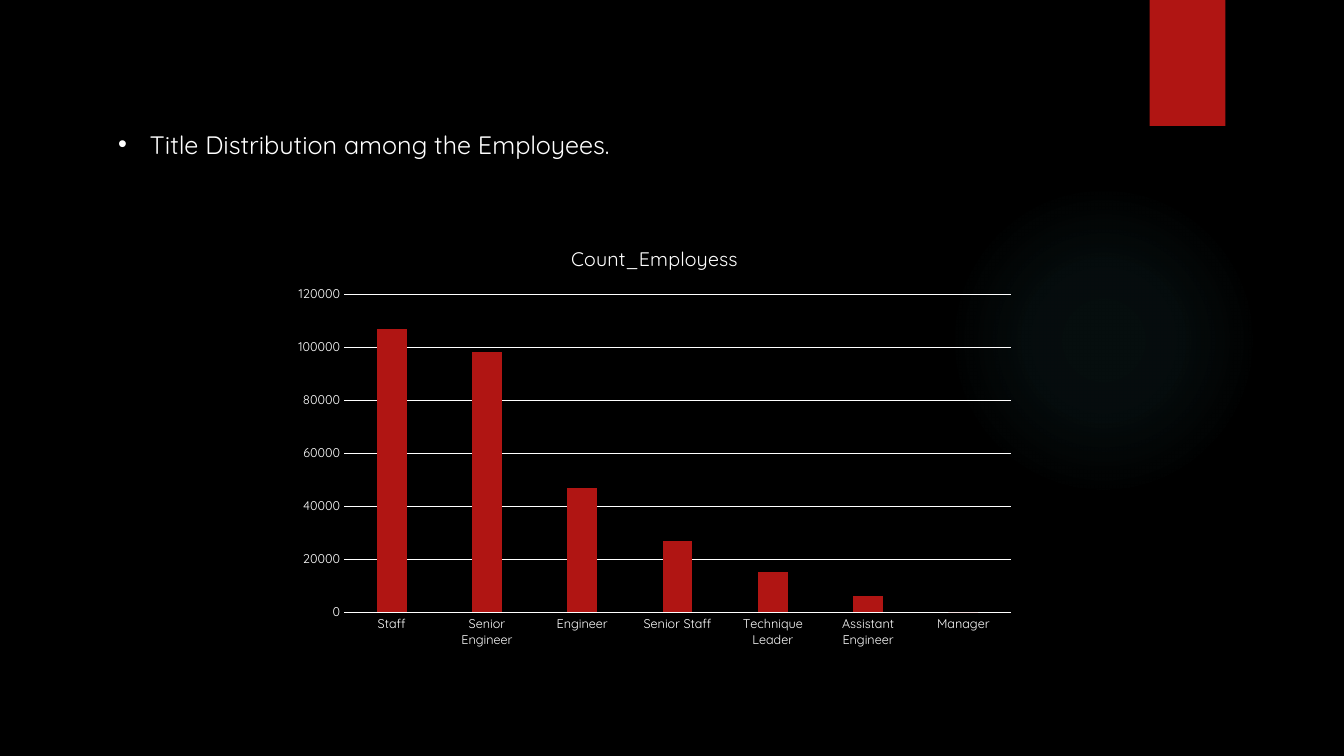
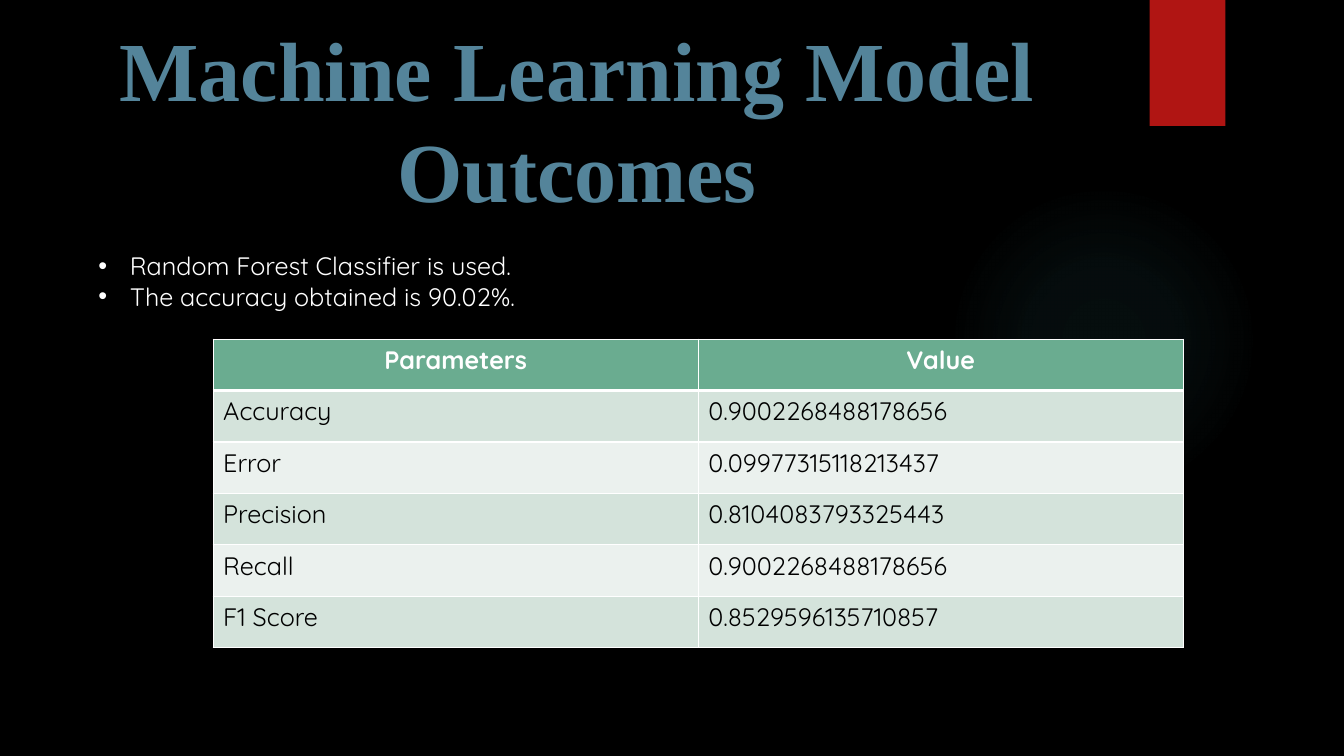
from pptx import Presentation
from pptx.chart.data import CategoryChartData
from pptx.dml.color import RGBColor
from pptx.enum.chart import XL_CHART_TYPE, XL_TICK_MARK
from pptx.enum.shapes import MSO_SHAPE
from pptx.enum.text import MSO_ANCHOR, MSO_AUTO_SIZE, PP_ALIGN
from pptx.oxml import parse_xml
from pptx.oxml.ns import nsdecls, qn
from pptx.util import Emu, Pt

EMU_PER_PX = 9525
SLIDE_WIDTH, SLIDE_HEIGHT = 1280, 720

BLACK = RGBColor(0x00, 0x00, 0x00)
WHITE = RGBColor(0xFF, 0xFF, 0xFF)
RED = RGBColor(0xB0, 0x15, 0x13)
TEAL_GLOW = RGBColor(0x50, 0xB9, 0xC1)
STEEL_BLUE = RGBColor(0x54, 0x84, 0x9A)
HEADER_GREEN = RGBColor(0x6A, 0xAC, 0x90)
BAND_DARK = RGBColor(0xD4, 0xE3, 0xDB)
BAND_LIGHT = RGBColor(0xEB, 0xF1, 0xEE)

BODY_FONT = "Quicksand"
TITLE_FONT = "Times New Roman"
BODY_SIZE = 18
BULLET_INDENT = 30

EMPLOYEES_BY_TITLE = {
    "Staff": 107000,
    "Senior Engineer": 98000,
    "Engineer": 47000,
    "Senior Staff": 27000,
    "Technique Leader": 15000,
    "Assistant Engineer": 6000,
    "Manager": 0,
}
MODEL_SCORES = [
    ("Parameters", "Value"),
    ("Accuracy", "0.9002268488178656"),
    ("Error", "0.09977315118213437"),
    ("Precision", "0.8104083793325443"),
    ("Recall", "0.9002268488178656"),
    ("F1 Score", "0.8529596135710857"),
]


def px(length):
    """Turn pixels into EMU."""
    return Emu(length * EMU_PER_PX)


def scaled(box):
    """Turn a box of left, top, width and height into EMU."""
    return [px(length) for length in box]


def style_font(font, size, color, name=BODY_FONT, bold=False):
    """Set the look of a font."""
    font.name = name
    font.size = Pt(size)
    font.bold = bold
    font.color.rgb = color


def add_plain_shape(slide, preset, box, color):
    """Add a filled shape without line or shadow."""
    shape = slide.shapes.add_shape(preset, *scaled(box))
    shape.shadow.inherit = False
    shape.fill.solid()
    shape.fill.fore_color.rgb = color
    shape.line.fill.background()
    return shape


def fade_out(shape, color):
    """Give a shape a faint radial gradient that fades to its edge."""
    stops = "".join(
        f'<a:gs pos="{position * 1000}"><a:srgbClr val="{color}">'
        f'<a:alpha val="{alpha * 1000}"/></a:srgbClr></a:gs>'
        for position, alpha in ((0, 7), (36, 6), (69, 0))
    )
    gradient = parse_xml(
        f'<a:gradFill {nsdecls("a")}><a:gsLst>{stops}</a:gsLst><a:path path="circle">'
        '<a:fillToRect l="50000" t="50000" r="50000" b="50000"/></a:path></a:gradFill>'
    )
    properties = shape.element.spPr
    properties.replace(properties.find(qn("a:solidFill")), gradient)


def decorate_master(master, slide):
    """Put the black background, glow and red tab on the master."""
    master.background.fill.solid()
    master.background.fill.fore_color.rgb = BLACK
    glow = add_plain_shape(slide, MSO_SHAPE.OVAL, (903, 176, 296, 296), TEAL_GLOW)
    fade_out(glow, TEAL_GLOW)
    tab = add_plain_shape(slide, MSO_SHAPE.RECTANGLE, (1095, 0, 72, 120), RED)
    for decoration in (glow, tab):
        master.shapes.element.append(decoration.element)


def fill_placeholder(placeholder, box, lines):
    """Move a placeholder into its box and return its paragraphs."""
    placeholder.left, placeholder.top, placeholder.width, placeholder.height = scaled(box)
    frame = placeholder.text_frame
    frame.text = "\n".join(lines)
    frame.auto_size = MSO_AUTO_SIZE.NONE
    frame.vertical_anchor = MSO_ANCHOR.TOP
    for paragraph in frame.paragraphs:
        paragraph.space_before = Pt(0)
    return frame.paragraphs


def place_title(slide, box, lines):
    """Place the large centred and outlined title."""
    for paragraph in fill_placeholder(slide.shapes.title, box, lines):
        paragraph.alignment = PP_ALIGN.CENTER
        for run in paragraph.runs:
            style_font(run.font, 60, STEEL_BLUE, TITLE_FONT, True)
            outline = parse_xml(
                f'<a:ln {nsdecls("a")} w="{Pt(0.75)}"><a:solidFill>'
                f'<a:srgbClr val="{BLACK}"/></a:solidFill></a:ln>'
            )
            run.font._element.insert(0, outline)


def place_bullets(slide, box, lines):
    """Place the bulleted list in the body placeholder."""
    for paragraph in fill_placeholder(slide.placeholders[1], box, lines):
        properties = paragraph._p.get_or_add_pPr()
        properties.set("marL", str(px(BULLET_INDENT)))
        properties.set("indent", str(-px(BULLET_INDENT)))
        for run in paragraph.runs:
            style_font(run.font, BODY_SIZE, WHITE)


def draw_white(line):
    """Make a chart line thin and white."""
    line.color.rgb = WHITE
    line.width = Pt(0.75)


def place_employee_chart(slide, box, counts):
    """Place the column chart of employees by title."""
    data = CategoryChartData()
    data.categories = list(counts)
    data.add_series("Count_Employess", list(counts.values()))
    chart = slide.shapes.add_chart(
        XL_CHART_TYPE.COLUMN_CLUSTERED, *scaled(box), data
    ).chart
    style_font(chart.font, 10, WHITE)
    chart.has_legend = False
    chart.has_title = True
    heading = chart.chart_title.text_frame
    heading.text = "Count_Employess"
    style_font(heading.paragraphs[0].runs[0].font, 14, WHITE)

    for axis in (chart.category_axis, chart.value_axis):
        axis.major_tick_mark = axis.minor_tick_mark = XL_TICK_MARK.NONE
        style_font(axis.tick_labels.font, 9, WHITE)
    draw_white(chart.category_axis.format.line)
    chart.value_axis.format.line.fill.background()
    chart.value_axis.minimum_scale = 0
    chart.value_axis.maximum_scale = 120000
    chart.value_axis.major_unit = 20000
    draw_white(chart.value_axis.major_gridlines.format.line)

    plot = chart.plots[0]
    plot.gap_width = 219
    plot.overlap = -27
    plot.vary_by_categories = False
    columns = plot.series[0]
    columns.invert_if_negative = False
    columns.format.fill.solid()
    columns.format.fill.fore_color.rgb = RED


def border_cell(cell, top, bottom):
    """Draw white borders around a cell, widths in points."""
    properties = cell._tc.get_or_add_tcPr()
    for side, width in (("L", 1), ("R", 1), ("T", top), ("B", bottom)):
        properties.append(parse_xml(
            f'<a:ln{side} {nsdecls("a")} w="{Pt(width)}"><a:solidFill>'
            f'<a:srgbClr val="{WHITE}"/></a:solidFill></a:ln{side}>'
        ))


def place_score_table(slide, box, scores):
    """Place the banded table of model scores."""
    table = slide.shapes.add_table(len(scores), len(scores[0]), *scaled(box)).table
    for row, texts in enumerate(scores):
        is_header = row == 0
        band = HEADER_GREEN if is_header else BAND_DARK if row % 2 else BAND_LIGHT
        for column, text in enumerate(texts):
            cell = table.cell(row, column)
            border_cell(cell, 3 if row == 1 else 1, 3 if is_header else 1)
            cell.fill.solid()
            cell.fill.fore_color.rgb = band
            cell.text = text
            paragraph = cell.text_frame.paragraphs[0]
            paragraph.alignment = PP_ALIGN.CENTER if is_header else PP_ALIGN.LEFT
            style_font(paragraph.runs[0].font, BODY_SIZE,
                       WHITE if is_header else BLACK, bold=is_header)


def build_distribution_slide(slide):
    """Build the slide on title distribution."""
    heading = slide.shapes.title.element
    heading.getparent().remove(heading)
    place_employee_chart(slide, (270, 216, 707, 409), EMPLOYEES_BY_TITLE)
    place_bullets(slide, (103, 118, 760, 38), ["Title Distribution among the Employees."])


def build_outcomes_slide(slide):
    """Build the slide on model outcomes."""
    place_title(slide, (10, 12, 1079, 204), ["Machine Learning Model", "Outcomes"])
    place_bullets(slide, (84, 234, 996, 68), [
        "Random Forest Classifier is used.",
        "The accuracy obtained is 90.02%.",
    ])
    place_score_table(slide, (203, 323, 924, 294), MODEL_SCORES)


def main():
    """Build and save the presentation."""
    presentation = Presentation()
    presentation.slide_width = px(SLIDE_WIDTH)
    presentation.slide_height = px(SLIDE_HEIGHT)
    layout = presentation.slide_layouts[1]
    distribution = presentation.slides.add_slide(layout)
    outcomes = presentation.slides.add_slide(layout)
    decorate_master(presentation.slide_master, distribution)
    build_distribution_slide(distribution)
    build_outcomes_slide(outcomes)
    presentation.save("out.pptx")


if __name__ == "__main__":
    main()
